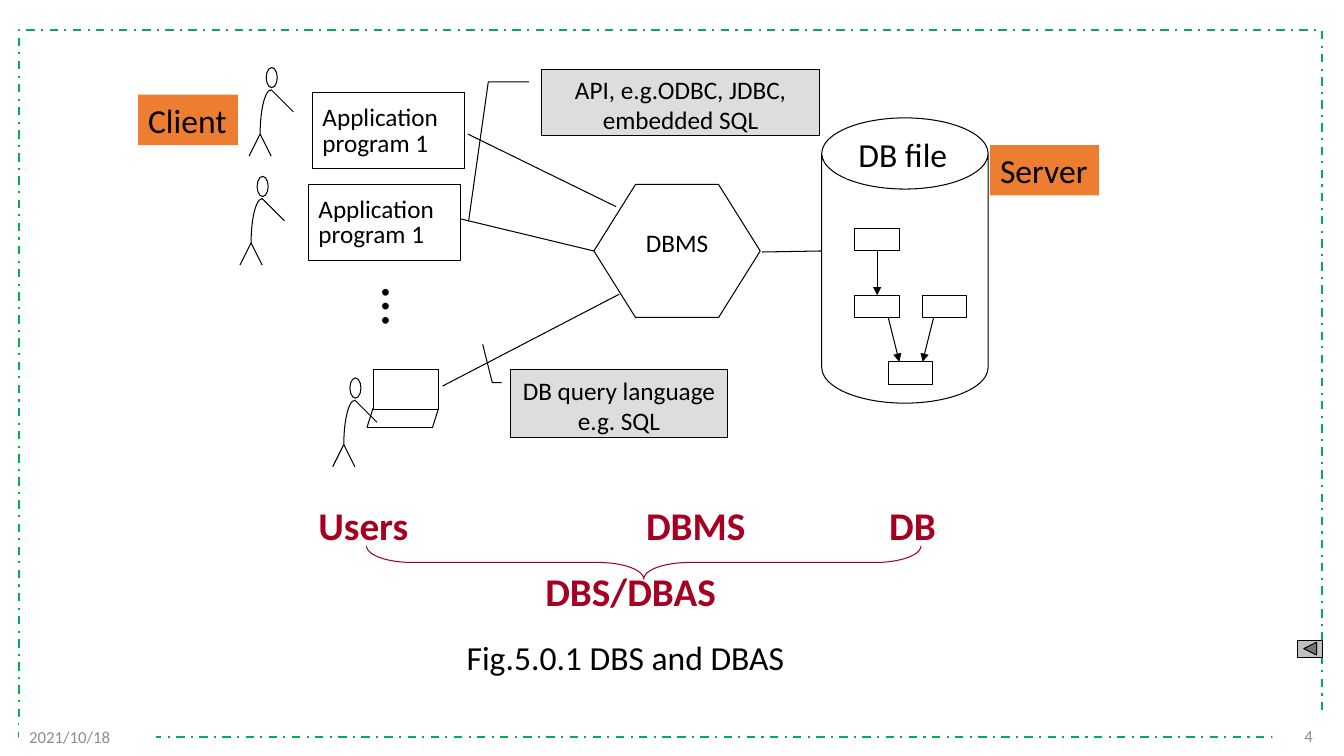
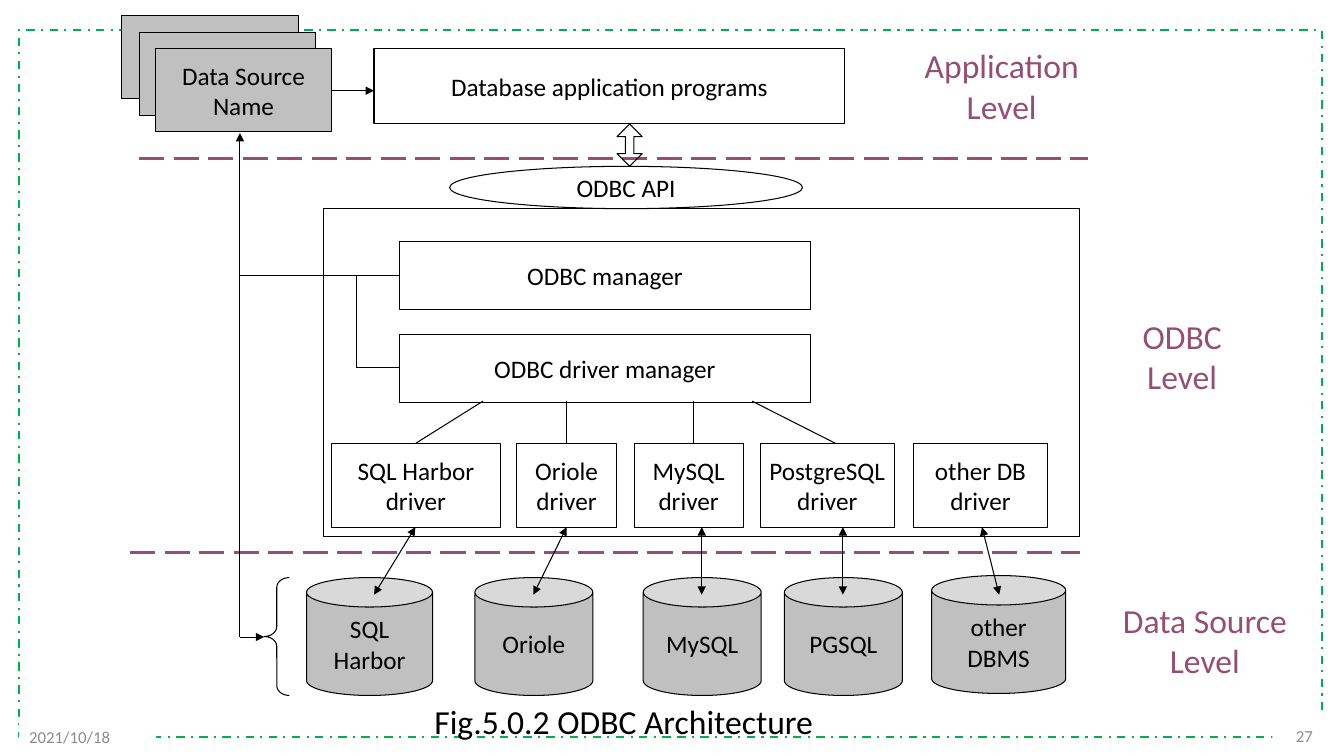
from pptx import Presentation
from pptx.dml.color import RGBColor
from pptx.enum.dml import MSO_LINE
from pptx.enum.shapes import MSO_CONNECTOR, MSO_SHAPE
from pptx.enum.text import MSO_ANCHOR, PP_ALIGN
from pptx.oxml.ns import qn
from pptx.util import Pt
from lxml import etree

PX = 9144  # EMU per px, 100 px to the inch
SIZE = (1333, 750)
FONT = "Calibri"
COLORS = {
    "black": "000000", "white": "FFFFFF", "green": "00B050", "gray": "8C8C8C",
    "silver": "C0C0C0", "pale": "DDDDDD", "orange": "ED7D31", "red": "A50021",
    "plum": "954F72",
}
RECT, OVAL, CAN = MSO_SHAPE.RECTANGLE, MSO_SHAPE.OVAL, MSO_SHAPE.CAN
DOT, ARC = MSO_SHAPE.FLOWCHART_CONNECTOR, MSO_SHAPE.ARC
HEX, BRACE = MSO_SHAPE.HEXAGON, MSO_SHAPE.LEFT_BRACE
NOTE, BACK = MSO_SHAPE.LINE_CALLOUT_2, MSO_SHAPE.ACTION_BUTTON_BACK_OR_PREVIOUS
BOTH = MSO_SHAPE.UP_DOWN_ARROW
STRAIGHT = MSO_CONNECTOR.STRAIGHT
DASH, DASHDOT = MSO_LINE.LONG_DASH, MSO_LINE.DASH_DOT
TOP, MID = MSO_ANCHOR.TOP, MSO_ANCHOR.MIDDLE
LEFT, MIDDLE, RIGHT = PP_ALIGN.LEFT, PP_ALIGN.CENTER, PP_ALIGN.RIGHT
JUSTIFY = PP_ALIGN.JUSTIFY
INSET = (10, 5, 10, 5)

# Slide 1: client and server
DATE = "2021/10/18"
PEOPLE = [(264, 67), (347, 375), (255, 175)]  # top left of each head
PROGRAMS = [(310, 92), (306, 183)]
LAPTOP = [(370, 405, 364, 424), (435, 405, 429, 424), (364, 424, 429, 424)]
WIRES = [
    (756, 250, 815, 249), (464, 133, 611, 205),
    (456, 217, 589, 249), (439, 383, 614, 292),
]
FILES = [(848, 227), (848, 293), (915, 293), (881, 359)]
FLOWS = [(870, 249, 870, 293), (881, 315, 892, 359), (926, 315, 915, 359)]
NOTES = [
    ("DB query language\ne.g. SQL", (506, 367, 216, 67),
     [0.188, -0.039, 0.188, -0.082, -0.378, -0.126]),
    ("API, e.g.ODBC, JDBC, embedded SQL", (537, 69, 276, 65),
     [0.188, -0.045, 0.188, -0.191, 2.32, -0.262]),
]
PARTS = [
    ("Users", (306, 492, 110, 57)), ("DBMS", (631, 492, 120, 57)),
    ("DB", (872, 492, 67, 57)), ("DBS/DBAS", (531, 558, 191, 57)),
]
TAGS = [("Client", (137, 94, 99, 50)), ("Server", (982, 144, 108, 50))]

# Slide 2: ODBC layers
BLOCKS = [
    (RECT, "Database application programs", (371, 48, 467, 75)),
    (RECT, "", (321, 207, 750, 325)),
    (OVAL, "ODBC API", (446, 165, 350, 42)),
    (RECT, "ODBC manager", (396, 240, 408, 67)),
    (RECT, "ODBC driver manager", (396, 332, 408, 67)),
]
# driver name, left, width; store name, left, top, width; arrow from x, to x
DRIVERS = [
    ("SQL Harbor", 329, 167, "SQL\nHarbor", 304, 573, 125, 412, 371),
    ("Oriole", 512, 100, "Oriole", 471, 573, 117, 562, 529),
    ("MySQL", 629, 108, "MySQL", 638, 573, 117, 696, 696),
    ("PostgreSQL", 754, 133, "PGSQL", 778, 573, 117, 836, 836),
    ("other DB", 906, 133, "other\nDBMS", 924, 571, 133, 974, 991),
]
FANS = [(479, 412), (562, 562), (688, 688), (746, 829)]
BORDERS = [(138, 157, 1079, 157), (129, 548, 1071, 548)]
TRUNKS = [
    ((396, 273, 238, 273), ""), ((238, 273, 238, 132), "tail"),
    ((354, 273, 354, 365), ""), ((354, 365, 396, 365), ""),
    ((238, 273, 238, 632), ""), ((238, 632, 262, 632), "tail"),
    ((329, 90, 371, 90), "tail"),
]
NAMES = [(121, 15, ""), (138, 32, ""), (154, 48, "Data Source\nName")]
LEVELS = [
    ("Application\nLevel", (906, 40, 175, 91)),
    ("ODBC\nLevel", (1123, 308, 99, 91)),
    ("Data Source\nLevel", (1103, 590, 184, 91)),
]


def rgb(name):
    return RGBColor.from_string(COLORS[name])


def emu(values):
    return [round(v * PX) for v in values]


def write(shape, text, size=18, color="black", bold=False, align=MIDDLE,
          anchor=MID, wrap=False, inset=INSET, lead=None):
    frame = shape.text_frame
    frame.word_wrap = wrap
    frame.vertical_anchor = anchor
    (frame.margin_left, frame.margin_top,
     frame.margin_right, frame.margin_bottom) = emu(inset)
    frame.text = text
    for para in frame.paragraphs:
        para.alignment = align
        para.line_spacing = lead
        para.font.name = FONT
        para.font.size = Pt(size)
        para.font.bold = bold
        para.font.color.rgb = rgb(color)


def draw(shapes, kind, box, fill=None, line="black", width=0.75, adj=(),
         text="", **style):
    shape = shapes.add_shape(kind, *emu(box))
    shape.shadow.inherit = False
    if fill:
        shape.fill.solid()
        shape.fill.fore_color.rgb = rgb(fill)
    else:
        shape.fill.background()
    if line:
        shape.line.color.rgb = rgb(line)
        shape.line.width = Pt(width)
    else:
        shape.line.fill.background()
    for i, value in enumerate(adj):
        shape.adjustments[i] = value
    if text:
        write(shape, text, **style)
    return shape


def label(shapes, text, box, **style):
    shape = shapes.add_textbox(*emu(box))
    write(shape, text, **{"anchor": TOP, "align": LEFT, **style})
    return shape


def link(shapes, ends, heads="", color="black", width=0.75, dash=None):
    """Draw a line; heads names the ends that carry an arrowhead."""
    wire = shapes.add_connector(STRAIGHT, *emu(ends))
    wire.line.color.rgb = rgb(color)
    wire.line.width = Pt(width)
    if dash:
        wire.line.dash_style = dash
    props = wire.element.spPr
    for end in heads.split():
        etree.SubElement(props.find(qn("a:ln")), qn(f"a:{end}End"), type="triangle")
    etree.SubElement(props, qn("a:effectLst"))


def person(shapes, x, y):
    parts = shapes.add_group_shape().shapes
    draw(parts, DOT, (x, y, 11, 20), "white")
    draw(parts, ARC, (x - 6, y + 22, 22, 88), adj=(108, 162))
    for x1, y1, x2, y2 in [(-6, 66, 5, 88), (-6, 66, -17, 88), (5, 22, 27, 44)]:
        link(parts, (x + x1, y + y1, x + x2, y + y2))


def base(deck, number):
    """Add a slide with the dashed frame, the date and the page number."""
    shapes = deck.slides.add_slide(deck.slide_layouts[6]).shapes
    frame = draw(shapes, RECT, (19, 30, 1292, 701), line="green", width=1.5)
    frame.line.dash_style = DASHDOT
    for text, box, align in [(number, (1262, 710, 50, 40), RIGHT),
                             (DATE, (19, 711, 136, 40), LEFT)]:
        draw(shapes, RECT, box, "white", None, text=text, size=12,
             color="gray", align=align, wrap=True)
    return shapes


def system(deck):
    shapes = base(deck, "4")
    laptop = shapes.add_group_shape().shapes
    draw(laptop, RECT, (370, 367, 65, 39), "white")
    for ends in LAPTOP:
        link(laptop, ends)
    draw(shapes, HEX, (589, 183, 165, 132), "white", adj=[0.313], text="DBMS",
         anchor=TOP, inset=(0, 21, 0, 5))
    draw(shapes, CAN, (815, 117, 165, 283), "white", adj=[0.428])
    tree = shapes.add_group_shape().shapes
    for x, y in FILES:
        draw(tree, RECT, (x, y, 44, 22), "white")
    for ends in FLOWS:
        link(tree, ends, "tail")
    for ends in WIRES:
        link(shapes, ends)
    for x, y in PROGRAMS:
        draw(shapes, RECT, (x, y, 151, 75), "white", text="Application program 1",
             align=JUSTIFY, anchor=TOP, wrap=True, inset=(10, 13, 10, 5), lead=0.85)
    draw(shapes, RECT, (839, 133, 113, 44), "white", None, text="DB file",
         size=24, anchor=TOP, wrap=True, inset=(0, 0, 0, 0))
    dots = label(shapes, "…", (352, 275, 88, 92), size=40, wrap=True)
    dots.element.txBody.bodyPr.set("vert", "eaVert")
    for x, y in PEOPLE:
        person(shapes, x, y)
    for text, box, adj in NOTES:
        draw(shapes, NOTE, box, "pale", adj=adj, text=text, anchor=TOP, wrap=True)
    for text, box in PARTS:
        label(shapes, text, box, size=28, color="red", bold=True)
    brace = draw(shapes, BRACE, (622, 283, 33, 550), line="red", adj=[1.375, 0.5])
    brace.rotation = 270
    label(shapes, "Fig.5.0.1 DBS and DBAS", (453, 627, 337, 50), size=24)
    draw(shapes, BACK, (1287, 635, 25, 17), "silver")
    for text, box in TAGS:
        draw(shapes, RECT, box, "orange", None, text=text, size=24,
             align=LEFT, anchor=TOP)


def layers(deck):
    shapes = base(deck, "27")
    for kind, text, box in BLOCKS:
        draw(shapes, kind, box, text=text)
    for ends in BORDERS:
        link(shapes, ends, color="plum", width=2.25, dash=DASH)
    for name, x, w, store, left, top, wide, x1, x2 in DRIVERS:
        draw(shapes, RECT, (x, 440, w, 83), text=f"{name}\ndriver")
        draw(shapes, CAN, (left, top, wide, 117), "silver", adj=[0.25], text=store)
        link(shapes, (x1, 523, x2, 590), "head tail")
    for x1, x2 in FANS:
        link(shapes, (x1, 398, x2, 440))
    draw(shapes, BOTH, (612, 123, 25, 42), adj=[0.5, 0.333])
    draw(shapes, BRACE, (262, 573, 25, 117), adj=[0.389, 0.5])
    for x, y, text in NAMES:
        draw(shapes, RECT, (x, y, 175, 83), "silver", text=text)
    for ends, heads in TRUNKS:
        link(shapes, ends, heads)
    for text, box in LEVELS:
        label(shapes, text, box, size=24, color="plum", align=MIDDLE)
    label(shapes, "Fig.5.0.2 ODBC Architecture", (421, 690, 406, 50), size=24)


def main():
    deck = Presentation()
    deck.slide_width, deck.slide_height = emu(SIZE)
    system(deck)
    layers(deck)
    deck.save("out.pptx")


if __name__ == "__main__":
    main()
